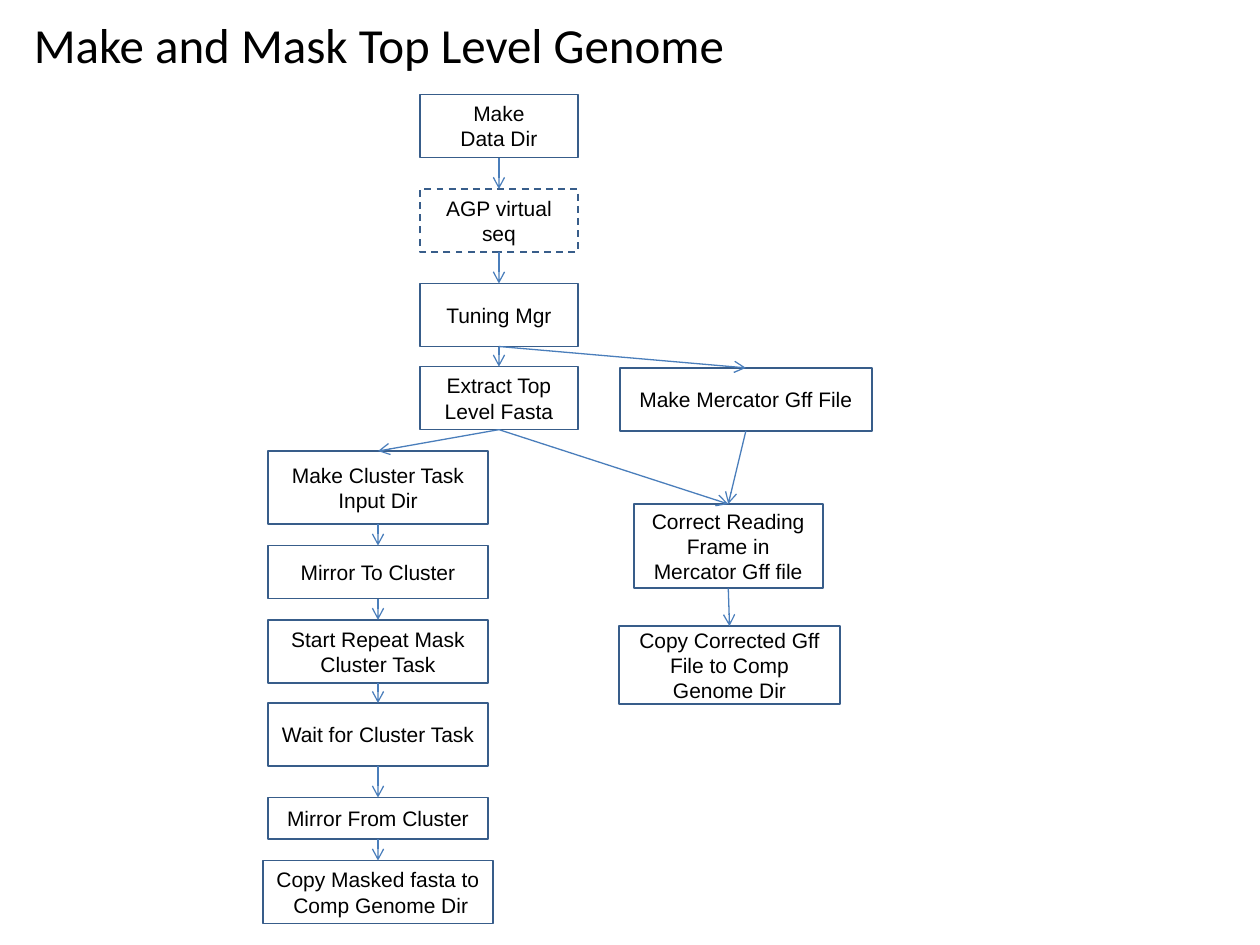
from lxml.etree import SubElement
from pptx import Presentation
from pptx.dml.color import RGBColor
from pptx.enum.dml import MSO_LINE_DASH_STYLE as Dash
from pptx.enum.shapes import MSO_CONNECTOR as Link, MSO_SHAPE as Shape
from pptx.enum.text import MSO_ANCHOR as Anchor, PP_ALIGN as Align
from pptx.oxml.ns import qn
from pptx.util import Inches, Pt

BLACK = RGBColor(0x00, 0x00, 0x00)
WHITE = RGBColor(0xFF, 0xFF, 0xFF)
EDGE = RGBColor(0x38, 0x5D, 0x8A)
ARROW = RGBColor(0x4A, 0x7E, 0xBB)

# Content: each column has a centre line and a default box width
TITLE = "Make and Mask Top Level Genome"
COLS = {"main": (3.96, 1.25), "mask": (3.0, 1.75), "gff": (5.79, 1.75)}

# key: (column, top, height, lines of text)
STEPS = {
    "data": ("main", 0.75, 0.5, ["Make", "Data Dir"]),
    "agp": ("main", 1.5, 0.5, ["AGP virtual seq"]),
    "tune": ("main", 2.25, 0.5, ["Tuning Mgr"]),
    "fasta": ("main", 2.91, 0.5, ["Extract Top Level Fasta"]),
    "input": ("mask", 3.58, 0.58, ["Make Cluster Task Input Dir"]),
    "send": ("mask", 4.33, 0.42, ["Mirror To Cluster"]),
    "start": ("mask", 4.92, 0.5, ["Start Repeat Mask Cluster Task"]),
    "wait": ("mask", 5.58, 0.5, ["Wait for Cluster Task"]),
    "fetch": ("mask", 6.33, 0.33, ["Mirror From Cluster"]),
    "masked": ("mask", 6.83, 0.5, ["Copy Masked fasta to  Comp Genome Dir"]),
    "gff": ("gff", 2.92, 0.5, ["Make Mercator Gff File"]),
    "frame": ("gff", 4.0, 0.67, ["Correct Reading Frame in Mercator Gff file"]),
    "copy": ("gff", 4.97, 0.62, ["Copy Corrected Gff File to Comp Genome Dir"]),
}
# Boxes that differ from their column: (centre, width)
ODD = {"masked": (3.0, 1.83), "gff": (5.92, 2.0), "frame": (5.78, 1.5)}
DASHED = {"agp"}
FILLED = {"data", "agp", "tune", "fasta", "gff"}

CHAINS = [
    ["data", "agp", "tune", "fasta", "input", "send", "start", "wait",
     "fetch", "masked"],
    ["tune", "gff", "frame", "copy"],
    ["fasta", "frame"],
]

BOTTOM, TOP = 2, 0  # connection sites of a rectangle


def write(frame, lines, font, size, align):
    frame.word_wrap = True
    frame.vertical_anchor = Anchor.MIDDLE
    for i, line in enumerate(lines):
        para = frame.add_paragraph() if i else frame.paragraphs[0]
        para.alignment = align
        run = para.add_run()
        run.text = line
        run.font.name = font
        run.font.size = Pt(size)
        run.font.color.rgb = BLACK


def add_step(slide, key):
    col, top, high, lines = STEPS[key]
    mid, wide = ODD.get(key, COLS[col])
    box = slide.shapes.add_shape(
        Shape.RECTANGLE, Inches(mid - wide / 2), Inches(top),
        Inches(wide), Inches(high))
    box.shadow.inherit = False
    if key in FILLED:
        box.fill.solid()
        box.fill.fore_color.rgb = WHITE
    else:
        box.fill.background()
    box.line.color.rgb = EDGE
    box.line.width = Pt(1)
    if key in DASHED:
        box.line.dash_style = Dash.DASH
    write(box.text_frame, lines, "Arial", 12, Align.CENTER)
    return box


def add_arrow(slide, start, end):
    arrow = slide.shapes.add_connector(Link.STRAIGHT, 0, 0, 0, 0)
    arrow.begin_connect(start, BOTTOM)
    arrow.end_connect(end, TOP)
    arrow.line.color.rgb = ARROW
    arrow.line.width = Pt(0.75)
    SubElement(arrow.line._get_or_add_ln(), qn("a:tailEnd"), type="arrow")
    SubElement(arrow._element.spPr, qn("a:effectLst"))


def main():
    deck = Presentation()
    deck.slide_width, deck.slide_height = Inches(10), Inches(7.5)
    slide = deck.slides.add_slide(deck.slide_layouts[6])

    # Title
    head = slide.shapes.add_textbox(
        Inches(0.17), Inches(0.08), Inches(5.83), Inches(0.53))
    write(head.text_frame, [TITLE], "Calibri", 28, Align.LEFT)

    # Steps, then the arrows between them
    boxes = {key: add_step(slide, key) for key in STEPS}
    for chain in CHAINS:
        for start, end in zip(chain, chain[1:]):
            add_arrow(slide, boxes[start], boxes[end])

    deck.save("out.pptx")


if __name__ == "__main__":
    main()
